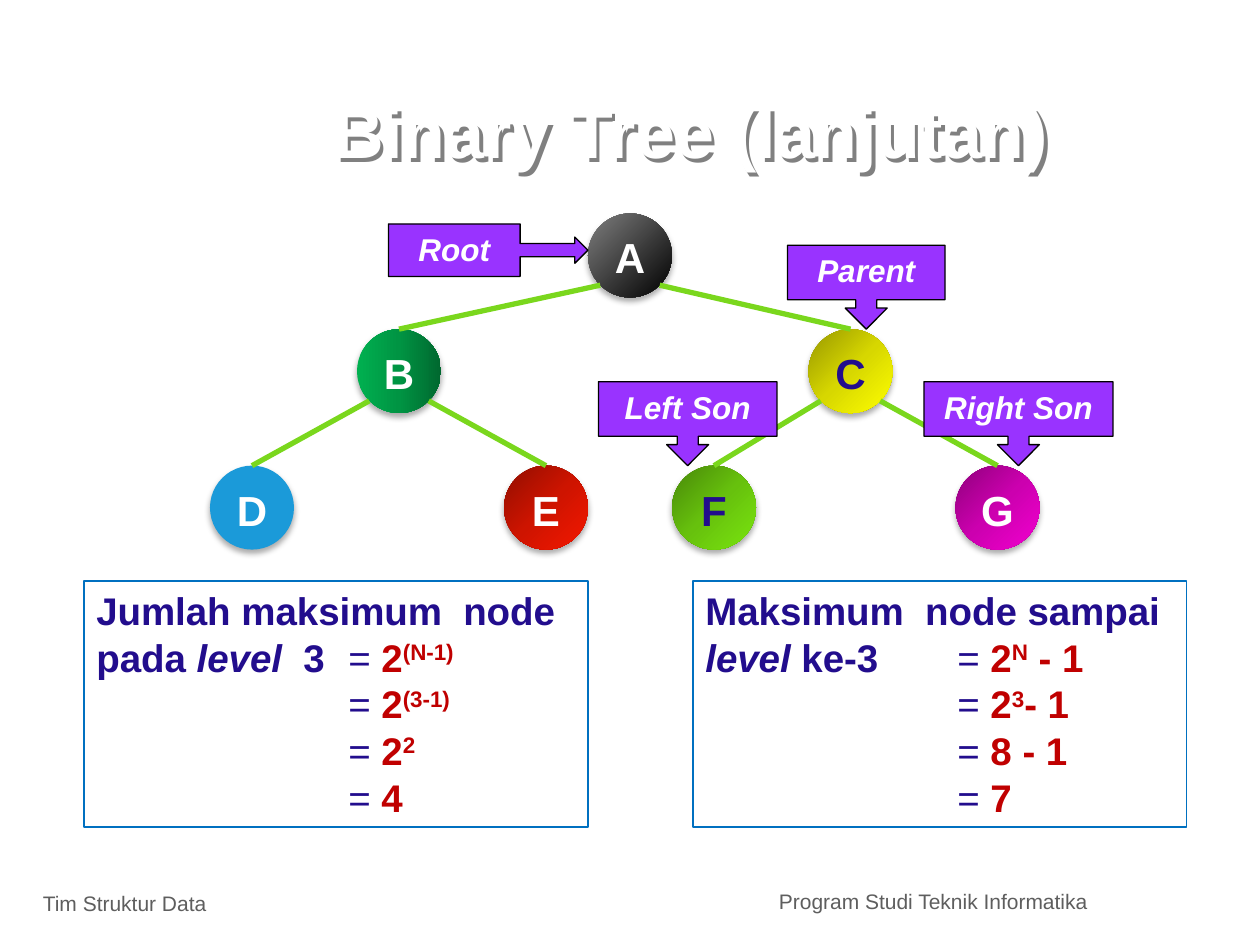
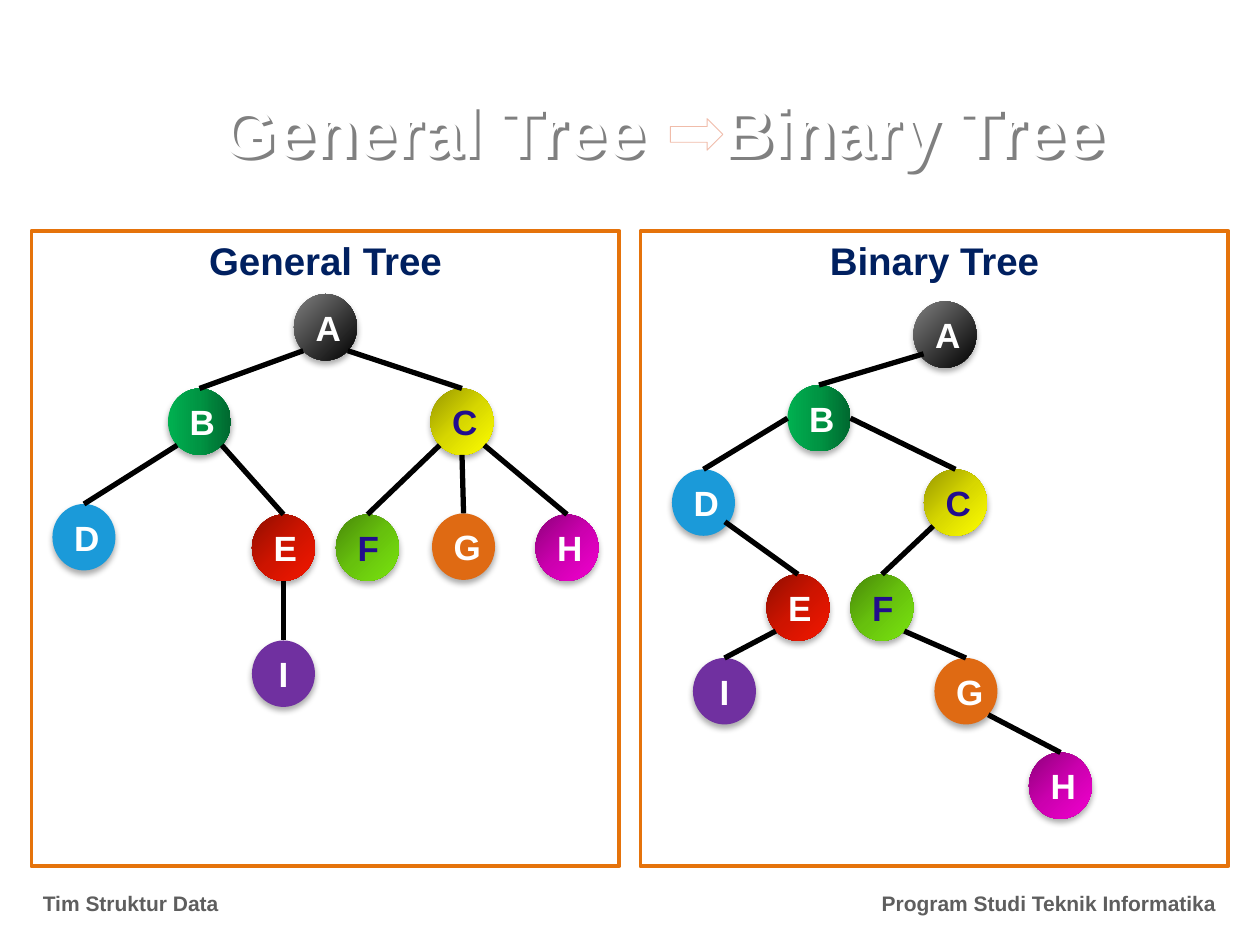
from lxml import etree
from pptx import Presentation
from pptx.dml.color import RGBColor
from pptx.enum.shapes import MSO_CONNECTOR, MSO_SHAPE
from pptx.enum.text import MSO_ANCHOR, PP_ALIGN
from pptx.oxml.ns import nsdecls, qn
from pptx.util import Inches, Pt

LEFT, CENTER, RIGHT = PP_ALIGN.LEFT, PP_ALIGN.CENTER, PP_ALIGN.RIGHT
TOP, MIDDLE = MSO_ANCHOR.TOP, MSO_ANCHOR.MIDDLE
RECTANGLE, OVAL = MSO_SHAPE.RECTANGLE, MSO_SHAPE.OVAL
RIGHT_ARROW = MSO_SHAPE.RIGHT_ARROW
DOWN_CALLOUT = MSO_SHAPE.DOWN_ARROW_CALLOUT
RIGHT_CALLOUT = MSO_SHAPE.RIGHT_ARROW_CALLOUT
STRAIGHT = MSO_CONNECTOR.STRAIGHT

# Grid: twelve cells to the inch, so the slide is 120 columns by 90 rows
CELL = Inches(1) / 12
COLUMNS, ROWS = 120, 90
EQUALS_TAB = 24

FONT = "Arial"
WHITE, BLACK, NAVY, RED = "FFFFFF", "000000", "220D8D", "C00000"
PURPLE, GREEN, ORANGE = "9933FF", "7AD71D", "E5730B"
BLUE, DARK_BLUE, GREY, PINK = "0070C0", "002060", "5E5E5E", "F0BCAA"

# Node paints: gradient stops from start to end, or one solid colour
BLACK_FADE = ("7F7F7F", "000000")
GREEN_FADE = ("00B050", "009443", "00682F")
YELLOW_FADE = ("979700", "D7D700", "FFFF00")
RED_FADE = ("910E00", "CE1400", "F41700")
LIME_FADE = ("488809", "67C10D", "7AE50F")
MAGENTA_FADE = ("8F007B", "CC00AF", "F200CF")
NODE_PAINTS = {"A": BLACK_FADE, "B": GREEN_FADE, "C": YELLOW_FADE,
               "D": ("1B9AD9",), "E": RED_FADE, "F": LIME_FADE,
               "G": ("DF6A13",), "H": MAGENTA_FADE, "I": ("7030A0",)}
NAVY_LABELS = "CF"

# Where an edge leaves its parent, as shares of the node's size
LOWER_LEFT, LOWER_RIGHT, BOTTOM = (0.146, 0.854), (0.854, 0.854), (0.5, 1)
LEFT_SIDE, RIGHT_SIDE = (0, 0.5), (1, 0.5)
HIGHER_LEFT, HIGHER_RIGHT = (0.16, 0.79), (0.84, 0.79)

# Formula run styles: colour, bold, italic, raised
TEXT = (NAVY, True, False, False)
TERM = (NAVY, True, True, False)
EQUALS = (NAVY, False, False, False)
VALUE = (RED, True, False, False)
POWER = (RED, True, False, True)


def color(hex_value):
    return RGBColor.from_string(hex_value)


def grid(*cells):
    return [round(cell * CELL) for cell in cells]


def style_font(font, size, hex_value, bold=True, italic=False):
    font.name, font.size = FONT, Pt(size)
    font.bold, font.italic = bold, italic
    font.color.rgb = color(hex_value)


def write(shape, text, size, hex_value, align=CENTER, anchor=TOP,
          bold=True, italic=False):
    frame = shape.text_frame
    frame.word_wrap, frame.vertical_anchor = True, anchor
    paragraph = frame.paragraphs[0]
    paragraph.text, paragraph.alignment = text, align
    style_font(paragraph.font, size, hex_value, bold, italic)
    return paragraph


def add_tab_stop(paragraph, column):
    position, = grid(column)
    paragraph._p.get_or_add_pPr().append(etree.fromstring(
        f'<a:tabLst {nsdecls("a")}><a:tab pos="{position}" algn="l"/></a:tabLst>'))


def write_runs(shape, lines):
    frame = shape.text_frame
    frame.word_wrap, frame.vertical_anchor = True, TOP
    for index, line in enumerate(lines):
        paragraph = frame.add_paragraph() if index else frame.paragraphs[0]
        paragraph.alignment = LEFT
        add_tab_stop(paragraph, EQUALS_TAB)
        for text, (hex_value, bold, italic, raised) in line:
            run = paragraph.add_run()
            run.text = text
            style_font(run.font, 22, hex_value, bold, italic)
            if raised:
                run.font._element.set("baseline", "30000")


def add_shadow(shape, hex_value, opacity, blur, distance, angle):
    shape.shadow.inherit = False
    shape._element.spPr.find(qn("a:effectLst")).append(etree.fromstring(
        f'<a:outerShdw {nsdecls("a")} blurRad="{Pt(blur)}" '
        f'dist="{Pt(distance)}" dir="{angle * 60000}" rotWithShape="0">'
        f'<a:srgbClr val="{hex_value}"><a:alpha val="{opacity * 1000}"/>'
        f'</a:srgbClr></a:outerShdw>'))


def fill_gradient(shape, stops, angle):
    shape.fill.gradient()
    gradient = shape._element.spPr.find(qn("a:gradFill"))
    stop_list = gradient.find(qn("a:gsLst"))
    for old_stop in list(stop_list):
        stop_list.remove(old_stop)
    for index, stop in enumerate(stops):
        position = round(100000 * index / (len(stops) - 1))
        stop_list.append(etree.fromstring(
            f'<a:gs {nsdecls("a")} pos="{position}">'
            f'<a:srgbClr val="{stop}"/></a:gs>'))
    gradient.find(qn("a:lin")).set("ang", str(angle * 60000))


def add_box(slide, preset, place, fill=None, line=None, width=0.75):
    shape = slide.shapes.add_shape(preset, *grid(*place))
    shape.shadow.inherit = False
    if fill:
        shape.fill.solid()
        shape.fill.fore_color.rgb = color(fill)
    else:
        shape.fill.background()
    if line:
        shape.line.color.rgb = color(line)
        shape.line.width = Pt(width)
    else:
        shape.line.fill.background()
    return shape


def add_title(slide, place, text, align):
    title = slide.shapes.add_textbox(*grid(*place))
    add_shadow(title, "808080", 100, 0, 2.8, 45)
    return write(title, text, 40, WHITE, align, MIDDLE)


def add_footers(slide, right_row, right_align, bold):
    for place, text, align in (
            ((2.9, 84.2, 36, 4.2), "Tim Struktur Data", LEFT),
            ((73, right_row, 44, 6), "Program Studi Teknik Informatika", right_align)):
        footer = slide.shapes.add_textbox(*grid(*place))
        write(footer, text, 12, GREY, align, bold=bold)


def add_node(slide, label, place, paint, size, anchor):
    node = add_box(slide, OVAL, place, paint[0])
    if len(paint) > 1:
        fill_gradient(node, paint, 0 if paint is GREEN_FADE else 45)
    add_shadow(node, BLACK, 32, 3.5, 2.2, 90)
    write(node, label, size, NAVY if label in NAVY_LABELS else WHITE, anchor=anchor)
    return node


def add_edge(slide, parent, child, line, exit_point=None):
    offset = child.left - parent.left
    if exit_point is None:
        exit_point = LOWER_LEFT if offset < 0 else LOWER_RIGHT
        if abs(offset) < CELL:
            exit_point = BOTTOM
    share_x, share_y = exit_point
    edge = slide.shapes.add_connector(
        STRAIGHT, round(parent.left + share_x * parent.width),
        round(parent.top + share_y * parent.height), child.left, child.top)
    edge.end_connect(child, 0)
    edge.line.color.rgb = color(line)
    edge.line.width = Pt(3)
    etree.SubElement(edge._element.spPr, qn("a:effectLst"))


def add_tree(slide, positions, edges, node_size, line, font_size,
             anchor=MIDDLE, paints=NODE_PAINTS, exits=None):
    """Edges are parent and child letters; exits overrides where one starts."""
    nodes = {label: add_node(slide, label, (*position, *node_size),
                             paints[label], font_size, anchor)
             for label, position in positions.items()}
    for edge in edges.split():
        add_edge(slide, nodes[edge[0]], nodes[edge[1]], line,
                 (exits or {}).get(edge))


def add_callout(slide, preset, place, text):
    callout = add_box(slide, preset, place, PURPLE, BLACK)
    write(callout, text, 18, WHITE, italic=True)
    return callout


def add_formula(slide, column, width, statement, steps):
    box = add_box(slide, RECTANGLE, (column, 55.35, width, 23.4), line=BLUE, width=1)
    write_runs(box, statement)
    for index, step in enumerate(steps):
        place = (column, 64.2 + 4.45 * index, width - 1, 5.6)
        text_box = slide.shapes.add_textbox(*grid(*place))
        write_runs(text_box, [[("\t=", EQUALS), *step]])


def build_binary_tree(slide):
    add_title(slide, (27, 9.25, 74, 6.4), "Binary Tree (lanjutan)", RIGHT)
    add_footers(slide, 84, LEFT, False)

    # Tree of three levels
    top, middle, bottom = 20.33, 31.35, 44.35
    positions = {"A": (56, top), "B": (34, middle), "C": (77, middle),
                 "D": (20, bottom), "E": (48, bottom),
                 "F": (64, bottom), "G": (91, bottom)}
    add_tree(slide, positions, "AB AC BD BE CF CG", (8, 8), GREEN, 24, TOP,
             {**NODE_PAINTS, "G": MAGENTA_FADE})

    # Role labels
    add_callout(slide, DOWN_CALLOUT, (57, 36.35, 17, 8), "Left Son")
    add_callout(slide, DOWN_CALLOUT, (88, 36.35, 18, 8), "Right Son")
    add_callout(slide, DOWN_CALLOUT, (75, 23.35, 15, 8), "Parent")
    root = add_callout(slide, RIGHT_CALLOUT, (37, 21.33, 19, 5), "Root")
    root.adjustments[3] = 0.66

    # Node counts
    add_formula(
        slide, 8, 48,
        [[("Jumlah maksimum  node", TEXT)],
         [("pada ", TEXT), ("level ", TERM), (" 3 ", TEXT), ("\t= ", EQUALS),
          ("2", VALUE), ("(N-1)", POWER)]],
        [[(" 2", VALUE), ("(3-1)", POWER)],
         [(" 2", VALUE), ("2", POWER)],
         [(" 4", VALUE)]])
    add_formula(
        slide, 66, 47,
        [[("Maksimum  node sampai ", TEXT), ("level ", TERM), ("ke-3 ", TEXT),
          ("\t= ", EQUALS), ("2", VALUE), ("N", POWER), (" - 1", VALUE)]],
        [[(" 2", VALUE), ("3", POWER), ("- 1", VALUE)],
         [(" 8 - 1", VALUE)],
         [(" 7", VALUE)]])


def build_conversion(slide):
    add_footers(slide, 84.2, RIGHT, True)

    # Panels
    for column, heading in ((3, "General Tree"), (61, "Binary Tree")):
        panel = add_box(slide, RECTANGLE, (column, 22, 56, 60.5), WHITE, ORANGE, 2.25)
        write(panel, heading, 22, DARK_BLUE)

    # General tree and its binary form
    node_size = (6, 6.33)
    general = {"A": (28, 28), "B": (16, 37), "C": (41, 37), "D": (5, 48),
               "E": (24, 49), "F": (32, 49), "G": (41.15, 48.9),
               "H": (51, 49), "I": (24, 61)}
    add_tree(slide, general, "AB AC BD BE CF CG CH EI", node_size, BLACK, 20)
    binary = {"A": (87, 28.7), "B": (75, 36.67), "C": (88, 44.7),
              "D": (64, 44.7), "E": (73, 54.7), "F": (81, 54.7),
              "G": (89, 62.67), "H": (98, 71.67), "I": (66, 62.67)}
    add_tree(slide, binary, "AB BD BC DE EI CF FG GH", node_size, BLACK, 20,
             exits={"AB": HIGHER_LEFT, "DE": HIGHER_RIGHT,
                    "BD": LEFT_SIDE, "BC": RIGHT_SIDE})

    # Title, with one widened space that holds the arrow
    title = add_title(slide, (9.1, 8.6, 108, 7.4), "General Tree", CENTER)
    gap = title.add_run()
    gap.text = " "
    gap.font._element.set("spc", "3340")
    title.add_run().text = "Binary Tree"
    add_box(slide, RIGHT_ARROW, (63.85, 11.3, 5, 3), WHITE, PINK, 0.5)


def main():
    presentation = Presentation()
    presentation.slide_width, presentation.slide_height = grid(COLUMNS, ROWS)
    blank = presentation.slide_layouts[6]
    for build in (build_binary_tree, build_conversion):
        build(presentation.slides.add_slide(blank))
    presentation.save("out.pptx")


if __name__ == "__main__":
    main()
